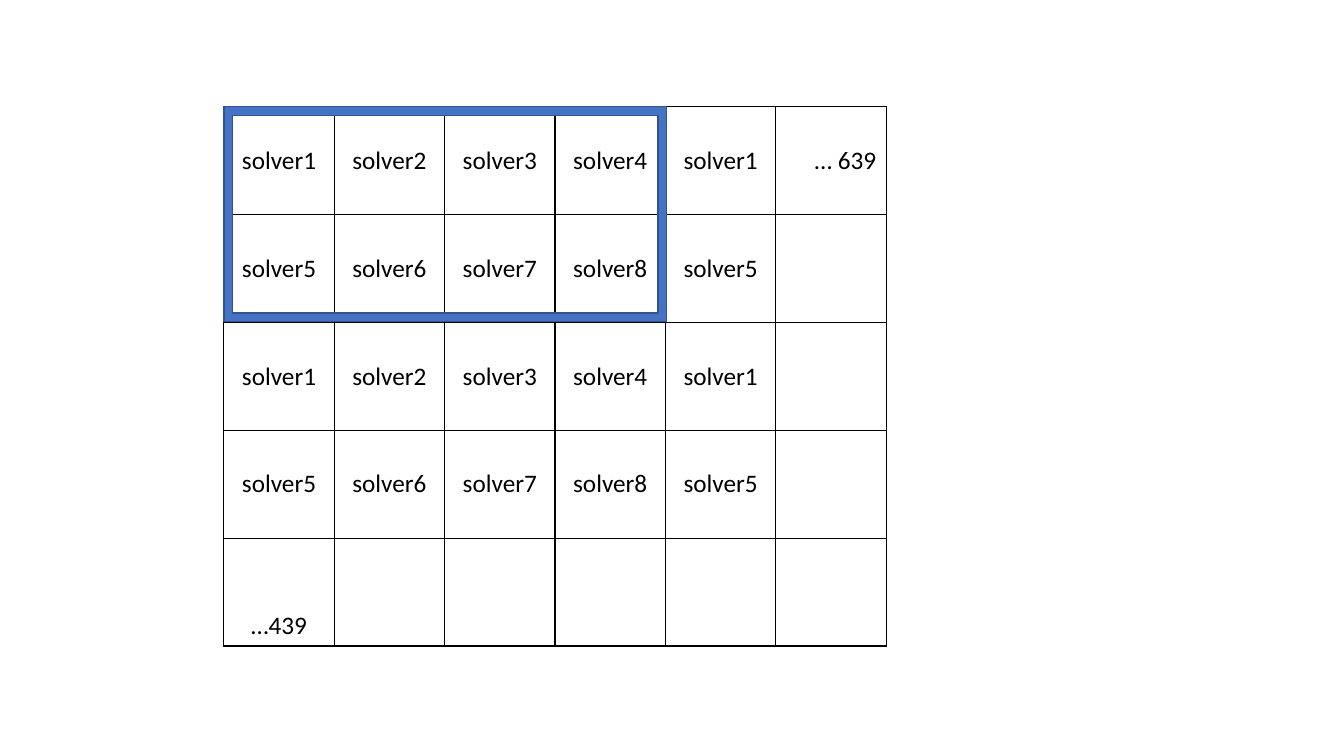
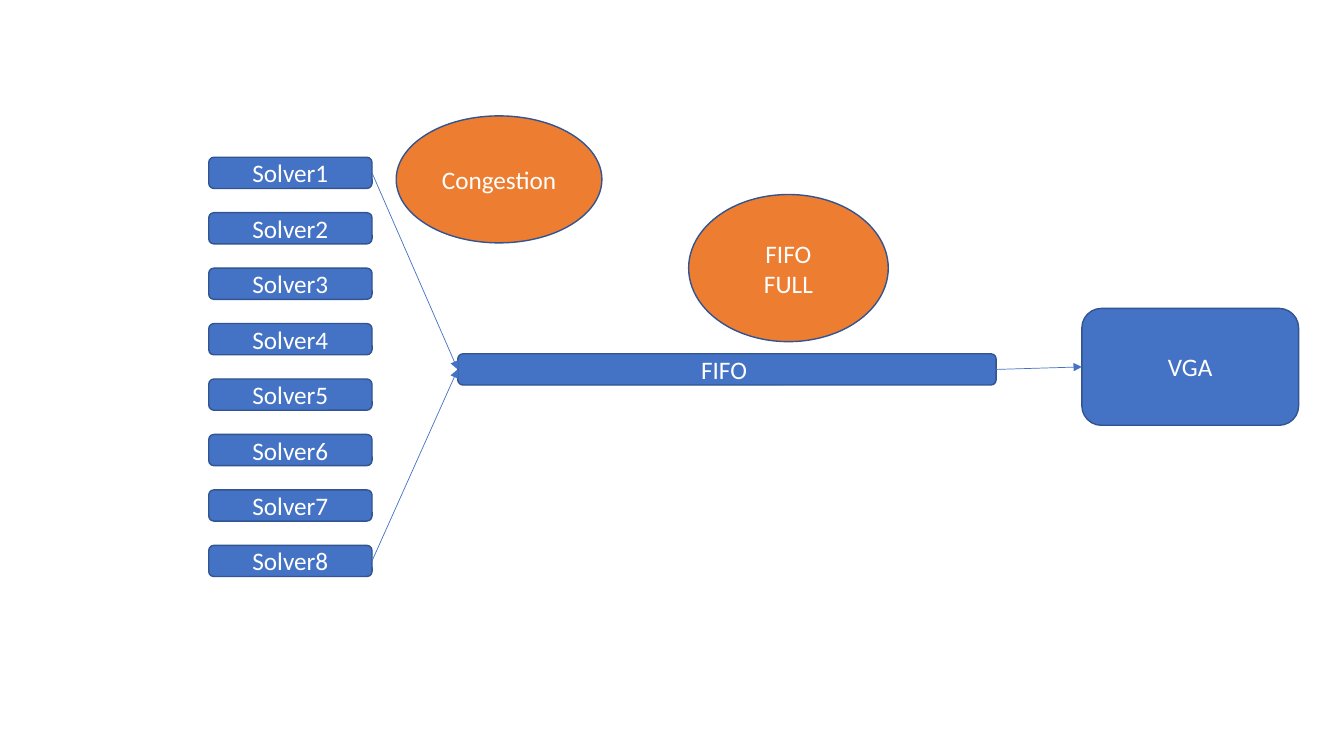
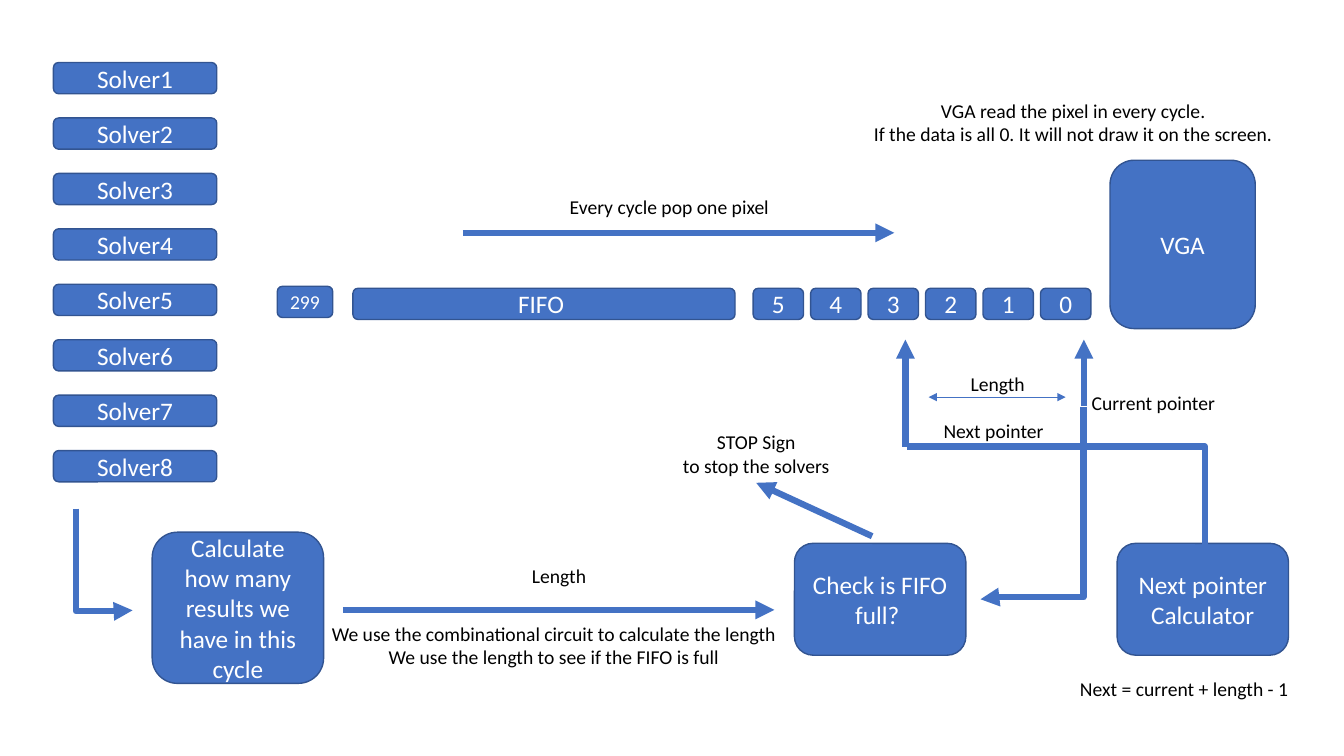
from dataclasses import dataclass

from lxml import etree
from pptx import Presentation
from pptx.dml.color import RGBColor
from pptx.enum.shapes import MSO_CONNECTOR, MSO_SHAPE
from pptx.enum.text import MSO_ANCHOR, PP_ALIGN
from pptx.oxml.ns import qn
from pptx.util import Inches, Pt

ROUNDED, ELLIPSE, FRAME = MSO_SHAPE.ROUNDED_RECTANGLE, MSO_SHAPE.OVAL, MSO_SHAPE.FRAME
STRAIGHT, ELBOW = MSO_CONNECTOR.STRAIGHT, MSO_CONNECTOR.ELBOW
CENTER, RIGHT = PP_ALIGN.CENTER, PP_ALIGN.RIGHT
MIDDLE, BOTTOM = MSO_ANCHOR.MIDDLE, MSO_ANCHOR.BOTTOM
LEFT_SIDE, RIGHT_SIDE = 1, 3
BLANK_LAYOUT = 6


@dataclass(frozen=True)
class Theme:
    font: str = "Calibri"
    blue: str = "4472C4"
    outline: str = "325491"
    orange: str = "ED7D31"
    black: str = "000000"
    white: str = "FFFFFF"
    body: float = 18
    label: float = 14
    outline_width: float = 1
    thin: float = 0.5
    thick: float = 4.5
    bar_height: float = 0.31
    solver_width: float = 1.62
    solver_pitch: float = 0.55


class Diagram:
    """Holds the deck, its theme and the page being drawn."""

    def __init__(self, theme):
        self.theme = theme
        self.deck = Presentation()
        self.deck.slide_width = Inches(13.33)
        self.deck.slide_height = Inches(7.5)
        self.page = None

    def new_page(self):
        self.page = self.deck.slides.add_slide(self.deck.slide_layouts[BLANK_LAYOUT])

    def set_text(self, frame, text, size, color, align=CENTER):
        frame.text = text
        for para in frame.paragraphs:
            para.alignment = align
            for span in para.runs:
                span.font.name = self.theme.font
                span.font.size = Pt(size)
                span.font.color.rgb = RGBColor.from_string(color)

    def shape(self, left, top, width, height, text="", kind=ROUNDED, fill=None, size=None):
        theme = self.theme
        box = self.page.shapes.add_shape(
            kind, Inches(left), Inches(top), Inches(width), Inches(height))
        box.shadow.inherit = False
        box.fill.solid()
        box.fill.fore_color.rgb = RGBColor.from_string(fill or theme.blue)
        box.line.color.rgb = RGBColor.from_string(theme.outline)
        box.line.width = Pt(theme.outline_width)
        if text:
            box.text_frame.vertical_anchor = MIDDLE
            self.set_text(box.text_frame, text, size or theme.body, theme.white)
        return box

    def bar(self, left, top, width, text, size=None):
        return self.shape(left, top, width, self.theme.bar_height, text, size=size)

    def solvers(self, left, top):
        theme = self.theme
        return [self.bar(left, top + row * theme.solver_pitch, theme.solver_width,
                         f"Solver{row + 1}") for row in range(8)]

    def label(self, left, top, width, height, text, wrap=False):
        box = self.page.shapes.add_textbox(
            Inches(left), Inches(top), Inches(width), Inches(height))
        box.text_frame.word_wrap = wrap
        self.set_text(box.text_frame, text, self.theme.label, self.theme.black)

    def style_line(self, line, width, ends):
        line.line.color.rgb = RGBColor.from_string(self.theme.blue)
        line.line.width = Pt(width)
        outline = line.element.spPr.find(qn("a:ln"))
        for end in ends:
            etree.SubElement(outline, qn(f"a:{end}"), type="triangle")
        etree.SubElement(line.element.spPr, qn("a:effectLst"))

    def arrow(self, start, end, width=None, ends=("tailEnd",)):
        line = self.page.shapes.add_connector(STRAIGHT, *map(Inches, start + end))
        self.style_line(line, width or self.theme.thick, ends)
        return line

    def join(self, source, target):
        """Thin arrow from the right side of source to the left side of target."""
        line = self.arrow((0, 0), (1, 1), self.theme.thin)
        line.begin_connect(source, RIGHT_SIDE)
        line.end_connect(target, LEFT_SIDE)

    def elbow(self, left, top, width, height, preset="bentConnector3",
              turn=0, flip=False, bend=None, ends=("tailEnd",)):
        """Bent line in an unrotated frame, then turned by degrees; bend is a share of width."""
        line = self.page.shapes.add_connector(
            ELBOW, Inches(left), Inches(top), Inches(left + width), Inches(top + height))
        self.style_line(line, self.theme.thick, ends)
        placement = line.element.spPr.find(qn("a:xfrm"))
        if turn:
            placement.set("rot", str(turn * 60000))
        if flip:
            placement.set("flipH", "1")
        geometry = line.element.spPr.find(qn("a:prstGeom"))
        geometry.set("prst", preset)
        if bend is not None:
            guides = geometry.find(qn("a:avLst"))
            if guides is None:
                guides = etree.SubElement(geometry, qn("a:avLst"))
            etree.SubElement(guides, qn("a:gd"), name="adj1", fmla=f"val {round(bend * 100000)}")

    def border(self, cell):
        properties = cell._tc.get_or_add_tcPr()
        for position, side in enumerate(("lnL", "lnR", "lnT", "lnB")):
            edge = etree.Element(qn(f"a:{side}"), w=str(Pt(self.theme.outline_width)))
            paint = etree.SubElement(edge, qn("a:solidFill"))
            etree.SubElement(paint, qn("a:srgbClr"), val=self.theme.black)
            properties.insert(position, edge)

    def grid(self, left, top, width, height, rows):
        table = self.page.shapes.add_table(
            len(rows), len(rows[0]), Inches(left), Inches(top),
            Inches(width), Inches(height)).table
        table.first_row = table.horz_banding = False
        for row, texts in enumerate(rows):
            for column, text in enumerate(texts):
                cell = table.cell(row, column)
                cell.fill.background()
                cell.vertical_anchor = MIDDLE
                self.set_text(cell.text_frame, text, self.theme.body, self.theme.black)
                self.border(cell)
        return table


def draw_pixel_grid(diagram):
    diagram.new_page()
    solver_rows = [[f"solver{first + column % 4}" for column in range(5)] + [""]
                   for first in (1, 5, 1, 5)]
    solver_rows[0][-1] = "… 639"
    table = diagram.grid(2.22, 1.06, 6.57, 5.35, solver_rows + [["…439"] + [""] * 5])
    table.cell(0, 5).text_frame.paragraphs[0].alignment = RIGHT
    table.cell(4, 0).vertical_anchor = BOTTOM
    diagram.shape(2.22, 1.06, 4.39, 2.13, kind=FRAME).adjustments[0] = 0.04


def draw_congestion(diagram):
    diagram.new_page()
    orange = diagram.theme.orange
    vga = diagram.shape(10.73, 3.06, 2.15, 1.16, "VGA")
    fifo = diagram.bar(4.54, 3.51, 5.34, "FIFO ")
    solvers = diagram.solvers(2.07, 1.56)
    for source, target in ((solvers[0], fifo), (solvers[-1], fifo), (fifo, vga)):
        diagram.join(source, target)
    diagram.shape(6.83, 1.93, 1.98, 1.46, "FIFO\nFULL", ELLIPSE, orange)
    diagram.shape(3.93, 1.15, 2.04, 1.26, "Congestion", ELLIPSE, orange)


def draw_pointers(diagram):
    diagram.new_page()
    theme = diagram.theme
    diagram.bar(3.5, 2.86, 3.79, "FIFO ")
    diagram.solvers(0.53, 0.62)
    for slot in range(6):
        diagram.bar(10.32 - slot * 0.57, 2.86, 0.5, str(slot))
    diagram.bar(2.75, 2.84, 0.55, "299", theme.label)
    diagram.shape(11.01, 1.59, 1.44, 1.67, "VGA")
    diagram.shape(1.51, 5.28, 1.7, 1.5, "Calculate how many results we have in this cycle")
    diagram.shape(7.88, 5.39, 1.7, 1.11, "Check is FIFO full? ")
    diagram.shape(11.08, 5.39, 1.7, 1.11, "Next pointer Calculator")

    for start, end in (
        ((4.59, 2.31), (8.87, 2.31)),
        ((8.98, 4.43), (8.98, 3.37)),
        ((3.4, 6.05), (7.68, 6.05)),
        ((10.75, 4.03), (10.75, 3.37)),
        ((8.65, 5.32), (7.5, 4.79)),
    ):
        diagram.arrow(start, end)
    diagram.arrow((9.21, 3.94), (10.57, 3.94), theme.thin, ("headEnd", "tailEnd"))
    diagram.elbow(0.53, 5.27, 1.01, 0.56, turn=270, flip=True, bend=1.01)
    diagram.elbow(9.28, 4.48, 1.91, 1.02, turn=90, bend=0.99)
    diagram.elbow(9, 4.43, 2.95, 1.35, "bentConnector2", ends=())

    for left, top, width, text in (
        (5.54, 1.88, 2.2, "Every cycle pop one pixel"),
        (10.72, 3.83, 1.44, "Current pointer"),
        (5.17, 5.55, 0.75, "Length"),
        (9.52, 3.64, 0.75, "Length"),
        (9.25, 4.11, 1.21, "Next pointer"),
        (10.6, 6.67, 2.29, "Next = current + length - 1"),
    ):
        diagram.label(left, top, width, 0.34, text)
    diagram.label(8.55, 0.93, 4.19, 0.57, "VGA read the pixel in every cycle.\n"
                  "If the data is all 0. It will not draw it on the screen.")
    diagram.label(3.17, 6.12, 4.65, 0.57,
                  "We use the combinational circuit to calculate the length\n"
                  "We use the length to see if the FIFO is full")
    diagram.label(6.49, 4.22, 2.02, 0.57, "STOP Sign\nto stop the solvers", wrap=True)


def main():
    diagram = Diagram(Theme())
    draw_pixel_grid(diagram)
    draw_congestion(diagram)
    draw_pointers(diagram)
    diagram.deck.save("out.pptx")


if __name__ == "__main__":
    main()
